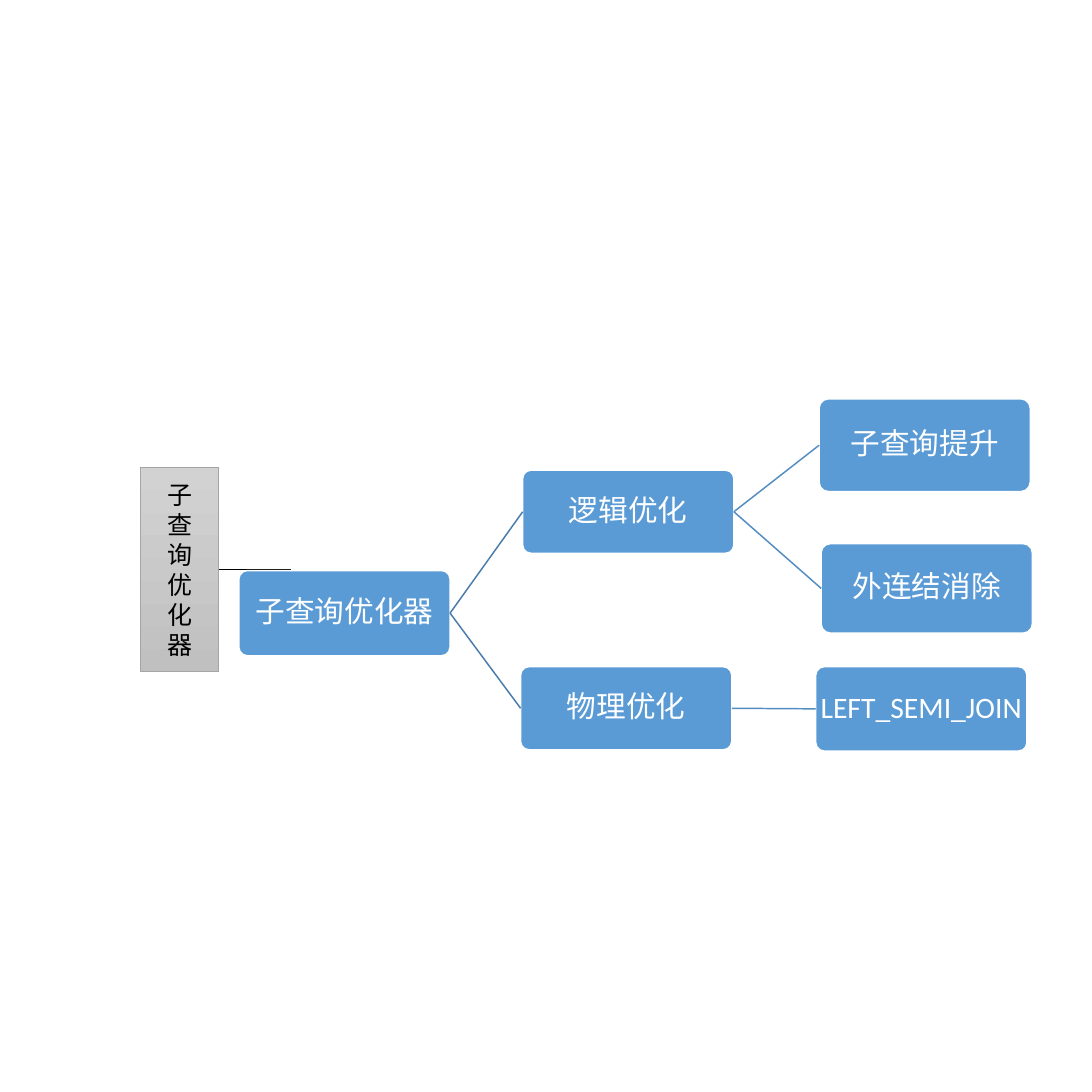
"""Build the tree diagram of the subquery optimizer."""
from lxml.etree import SubElement
from pptx import Presentation
from pptx.dml.color import RGBColor
from pptx.enum.shapes import MSO_CONNECTOR, MSO_SHAPE
from pptx.enum.text import MSO_ANCHOR, PP_ALIGN
from pptx.oxml.ns import qn
from pptx.util import Cm, Pt

BLACK = RGBColor(0x00, 0x00, 0x00)
WHITE = RGBColor(0xFF, 0xFF, 0xFF)
BLUE = RGBColor(0x5B, 0x9B, 0xD5)
DARK_BLUE = RGBColor(0x49, 0x7C, 0xAB)
MID_BLUE = RGBColor(0x53, 0x8D, 0xC1)
LIGHT_GRAY = RGBColor(0xD2, 0xD2, 0xD2)
MID_GRAY = RGBColor(0xC0, 0xC0, 0xC0)
EDGE_GRAY = RGBColor(0xA5, 0xA5, 0xA5)
NODE_WIDTH = 5.03

deck = Presentation()
deck.slide_width = deck.slide_height = Cm(26.01)
page = deck.slides.add_slide(deck.slide_layouts[6])


def add_box(kind, left, top, width, height, lines, size, color):
    box = page.shapes.add_shape(kind, Cm(left), Cm(top), Cm(width), Cm(height))
    box.shadow.inherit = False
    frame = box.text_frame
    frame.word_wrap = True
    frame.vertical_anchor = MSO_ANCHOR.MIDDLE
    for index, line in enumerate(lines):
        para = frame.add_paragraph() if index else frame.paragraphs[0]
        para.alignment = PP_ALIGN.CENTER
        span = para.add_run()
        span.text = line
        span.font.name = "Calibri"
        span.font.size = Pt(size)
        span.font.color.rgb = color
    return box


def add_line(start, end_x, end_y, color, width):
    line = page.shapes.add_connector(MSO_CONNECTOR.STRAIGHT, 0, 0, end_x, end_y)
    line.begin_connect(start, 3)
    line.line.color.rgb = color
    line.line.width = Pt(width)
    SubElement(line._element.spPr, qn("a:effectLst"))
    return line


title = add_box(MSO_SHAPE.RECTANGLE, 3.35, 11.13, 1.86, 4.87, "子查询优化器", 16.9, BLACK)
title.fill.gradient()
title.fill.gradient_angle = 270
for stop, gray in zip(title.fill.gradient_stops, (LIGHT_GRAY, MID_GRAY)):
    stop.color.rgb = gray
title.line.color.rgb = EDGE_GRAY
title.line.width = Pt(0.5)
add_line(title, Cm(6.93), title.top + title.height // 2, BLACK, 0.5)

nodes = {}
for name, left, top, height in (
    ("子查询优化器", 5.69, 13.59, 2.03),
    ("逻辑优化", 12.45, 11.2, 1.98),
    ("子查询提升", 19.51, 9.5, 2.21),
    ("外连结消除", 19.56, 12.95, 2.13),
    ("物理优化", 12.4, 15.88, 1.98),
    ("LEFT_SEMI_JOIN", 19.43, 15.88, 2.01),
):
    node = add_box(MSO_SHAPE.ROUNDED_RECTANGLE, left, top, NODE_WIDTH, height, [name], 20, WHITE)
    node.adjustments[0] = 0.1
    node.fill.solid()
    node.fill.fore_color.rgb = BLUE
    node.line.color.rgb = WHITE
    node.line.width = Pt(1)
    frame = node.text_frame
    frame.margin_left = frame.margin_right = frame.margin_top = frame.margin_bottom = Cm(0.03)
    frame.paragraphs[0].line_spacing = 0.9
    nodes[name] = node

for parent, child, color in (
    ("子查询优化器", "逻辑优化", DARK_BLUE),
    ("子查询优化器", "物理优化", DARK_BLUE),
    ("逻辑优化", "子查询提升", MID_BLUE),
    ("逻辑优化", "外连结消除", MID_BLUE),
    ("物理优化", "LEFT_SEMI_JOIN", MID_BLUE),
):
    target = nodes[child]
    branch = add_line(nodes[parent], target.left, target.top, color, 1)
    branch.end_connect(target, 1)

deck.save("out.pptx")
